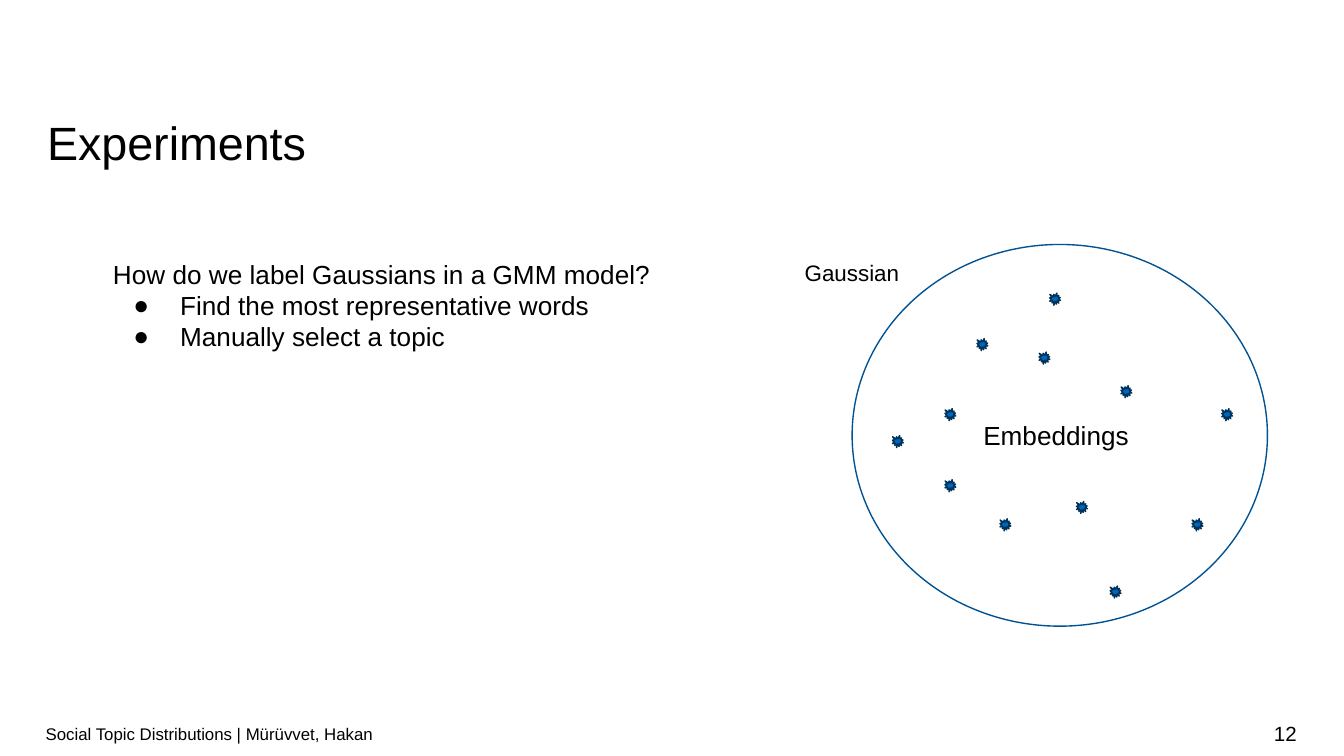
from lxml import etree
from pptx import Presentation
from pptx.dml.color import RGBColor
from pptx.enum.shapes import MSO_SHAPE
from pptx.enum.text import MSO_ANCHOR, MSO_AUTO_SIZE, PP_ALIGN
from pptx.oxml.ns import qn
from pptx.util import Pt

TOP, MIDDLE = MSO_ANCHOR.TOP, MSO_ANCHOR.MIDDLE
LEFT, CENTER, RIGHT = PP_ALIGN.LEFT, PP_ALIGN.CENTER, PP_ALIGN.RIGHT
NO_AUTOFIT = MSO_AUTO_SIZE.NONE
OVAL, SEAL = MSO_SHAPE.OVAL, MSO_SHAPE.EXPLOSION1

BLACK = RGBColor(0x00, 0x00, 0x00)
RING_BLUE = RGBColor(0x00, 0x52, 0x93)
SEAL_BLUE = RGBColor(0x00, 0x65, 0xBD)
SEAL_EDGE = RGBColor(0x00, 0x33, 0x59)


def write(sp, lines, size, align=LEFT, anchor=MIDDLE, inset=(7.2, 7.2)):
    """Fill a shape with one paragraph per line; inset is (sides, top and bottom)."""
    tf = sp.text_frame
    tf.text = "\n".join(lines)
    tf.word_wrap = True
    tf.auto_size = NO_AUTOFIT
    tf.vertical_anchor = anchor
    tf.margin_left = tf.margin_right = Pt(inset[0])
    tf.margin_top = tf.margin_bottom = Pt(inset[1])
    for p in tf.paragraphs:
        p.alignment = align
        p.space_before = p.space_after = Pt(0)
        p.font.name = "Arial"
        p.font.size = Pt(size)
        p.font.color.rgb = BLACK
    return tf


def place(sp, left, top, width, height):
    sp.left, sp.top, sp.width, sp.height = Pt(left), Pt(top), Pt(width), Pt(height)


prs = Presentation()
prs.slide_width, prs.slide_height = Pt(720), Pt(405)
s = prs.slides.add_slide(prs.slide_layouts[1])

# Title
title = s.shapes.title
place(title, 25.2, 52.6, 670.3, 32.4)
tf = write(title, ["Experiments"], 25, anchor=TOP, inset=(0, 0))
tf.paragraphs[0].line_spacing = 1.28

# Question and bulleted answers
body = s.placeholders[1]
place(body, 53.3, 131, 348.5, 213.8)
tf = write(body, ["How do we label Gaussians in a GMM model?",
                  "Find the most representative words",
                  "Manually select a topic"], 14, anchor=TOP)
for i, p in enumerate(tf.paragraphs):
    pPr = p._p.get_or_add_pPr()
    bulleted = i > 0
    pPr.set("marL", str(Pt(36) if bulleted else 0))
    pPr.set("indent", str(Pt(-25) if bulleted else 0))
    bullet = etree.Element(qn("a:buChar" if bulleted else "a:buNone"))
    if bulleted:
        bullet.set("char", "●")
    pPr.insert_element_before(bullet, "a:tabLst", "a:defRPr", "a:extLst")

# Gaussian with its embeddings
ring = s.shapes.add_shape(OVAL, Pt(456.5), Pt(131), Pt(222.5), Pt(204.5))
ring.shadow.inherit = False
ring.fill.background()
ring.line.color.rgb = RING_BLUE
ring.line.width = Pt(0.75)
write(ring, ["Embeddings "], 14, CENTER)

label = s.shapes.add_textbox(Pt(419), Pt(136.1), Pt(74.9), Pt(20.2))
write(label, ["Gaussian"], 12, CENTER)

EMBEDDINGS = [(556.6, 188.6), (478.1, 233.3), (562.3, 157), (576.7, 268.6),
              (600.5, 206.6), (523.4, 181.4), (535.7, 277.9), (506.2, 218.9),
              (506.2, 257), (654.5, 218.9), (594.7, 313.9), (638.6, 277.9)]
for x, y in EMBEDDINGS:
    seal = s.shapes.add_shape(SEAL, Pt(x), Pt(y), Pt(5.8), Pt(6.5))
    seal.shadow.inherit = False
    seal.fill.solid()
    seal.fill.fore_color.rgb = SEAL_BLUE
    seal.line.color.rgb = SEAL_EDGE
    seal.line.width = Pt(0.75)

# Footer
for text, left, width, size, align in [
        ("Social Topic Distributions | Mürüvvet, Hakan", 24.5, 509, 9, LEFT),
        ("12", 533.5, 161.3, 11, RIGHT)]:
    footer = s.shapes.add_textbox(Pt(left), Pt(382.3), Pt(width), Pt(21.6))
    write(footer, [text], size, align, inset=(0, 3.6))

prs.save("out.pptx")
